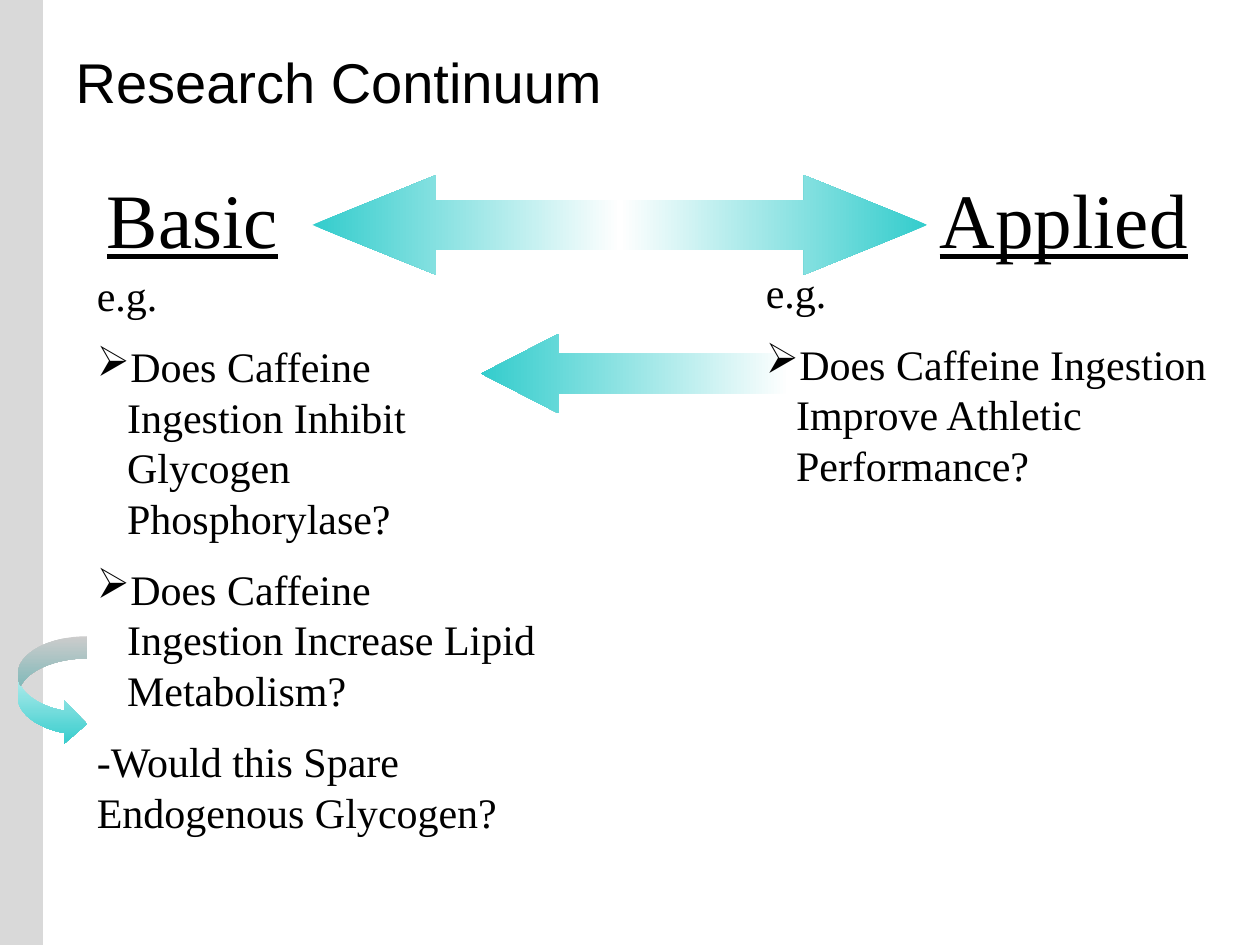
import pptx
import pptx.util
import pptx.dml.color
import pptx.enum.shapes
import pptx.enum.text
import pptx.oxml
import pptx.oxml.ns
from pptx.util import Inches

HUES = {"ink": "000000", "bar": "D9D9D9", "teal": "33CCCC", "white": "FFFFFF"}
SHAPE = pptx.enum.shapes.MSO_SHAPE
SERIF = "Times New Roman"
BULLET = "➢"
NS = pptx.oxml.ns.nsdecls("a")


def color(name):
    return pptx.dml.color.RGBColor.from_string(HUES[name])


def add_bullet(para):
    """Give the paragraph an arrow bullet with a hanging indent."""
    props = para._p.get_or_add_pPr()
    props.set("marL", str(Inches(0.24)))
    props.set("indent", str(-Inches(0.24)))
    # In Wingdings the letter Ø is drawn as the arrow bullet
    for mark in ('buFont typeface="Wingdings" charset="2"', 'buChar char="Ø"'):
        props.append(pptx.oxml.parse_xml(f"<a:{mark} {NS}/>"))


def write(frame, lines, font=SERIF, size=24, under=False, before=0):
    """Fill a text frame; lines that start with the bullet sign are listed."""
    frame.word_wrap = True
    frame.vertical_anchor = pptx.enum.text.MSO_ANCHOR.TOP
    for i, line in enumerate(lines):
        para = frame.paragraphs[0] if i == 0 else frame.add_paragraph()
        para.alignment = pptx.enum.text.PP_ALIGN.LEFT
        para.space_before = pptx.util.Pt(before if i else 0)
        if line.startswith(BULLET):
            add_bullet(para)
        run = para.add_run()
        run.text = line.removeprefix(BULLET)
        run.font.name = font
        run.font.size = pptx.util.Pt(size)
        run.font.underline = under
        run.font.color.rgb = color("ink")


def add_text(slide, box, lines, **style):
    area = slide.shapes.add_textbox(*map(Inches, box))
    write(area.text_frame, lines, **style)


def add_form(slide, kind, box, adjust=()):
    form = slide.shapes.add_shape(kind, *map(Inches, box))
    form.shadow.inherit = False
    form.line.fill.background()
    for i, value in enumerate(adjust):
        form.adjustments[i] = value
    return form


def add_arrow(slide, kind, box, adjust, hues, angle=0):
    """Draw a block arrow with evenly spaced gradient stops."""
    arrow = add_form(slide, kind, box, adjust)
    arrow.fill.gradient()
    arrow.fill.gradient_angle = angle
    stops = arrow._element.spPr.find(".//" + pptx.oxml.ns.qn("a:gsLst"))
    for stop in list(stops):
        stops.remove(stop)
    for i, hue in enumerate(hues):
        place = 100000 * i // (len(hues) - 1)
        stops.append(pptx.oxml.parse_xml(
            f'<a:gs {NS} pos="{place}"><a:srgbClr val="{HUES[hue]}"/></a:gs>'))
    return arrow


def add_title(slide, box, text):
    title = slide.shapes.title
    title.left, title.top, title.width, title.height = map(Inches, box)
    write(title.text_frame, [text], font="Arial", size=32)


def add_side(slide, head, body, name, lines):
    """One end of the continuum: underlined heading and its examples."""
    add_text(slide, head, [name], size=44, under=True)
    add_text(slide, body, lines, before=12)


def main():
    deck = pptx.Presentation()
    deck.slide_width, deck.slide_height = Inches(10), Inches(7.5)
    slide = deck.slides.add_slide(deck.slide_layouts[5])

    # Side bar and title
    bar = add_form(slide, SHAPE.RECTANGLE, (0, 0, 0.34, 7.5))
    bar.fill.solid()
    bar.fill.fore_color.rgb = color("bar")
    add_title(slide, (0.5, 0.33, 9.17, 1.25), "Research Continuum")

    # Arrows between the two ends
    back = add_arrow(slide, SHAPE.RIGHT_ARROW, (3.82, 2.65, 2.44, 0.63),
                     (0.5, 0.97), ("white", "teal"))
    back.rotation = 180
    add_arrow(slide, SHAPE.LEFT_RIGHT_ARROW, (2.48, 1.39, 4.88, 0.79),
              (0.5, 1.24), ("teal", "white", "teal"))

    # Applied and basic research
    add_side(slide, (7.36, 1.31, 2.2, 0.83), (5.98, 2.07, 4.13, 3.1),
             "Applied",
             ["e.g.",
              "➢Does Caffeine Ingestion Improve Athletic Performance?"])
    add_side(slide, (0.75, 1.31, 1.65, 0.83), (0.67, 2.09, 3.69, 4.89),
             "Basic",
             ["e.g.",
              "➢Does Caffeine Ingestion Inhibit Glycogen Phosphorylase?",
              "➢Does Caffeine Ingestion Increase Lipid Metabolism?",
              "-Would this Spare Endogenous Glycogen?"])

    # Curved arrow to the follow-up question
    add_arrow(slide, SHAPE.CURVED_RIGHT_ARROW, (0.14, 5.05, 0.55, 0.87),
              (0.32, 0.63, 0.33), ("white", "teal"), angle=270)

    deck.save("out.pptx")


if __name__ == "__main__":
    main()
